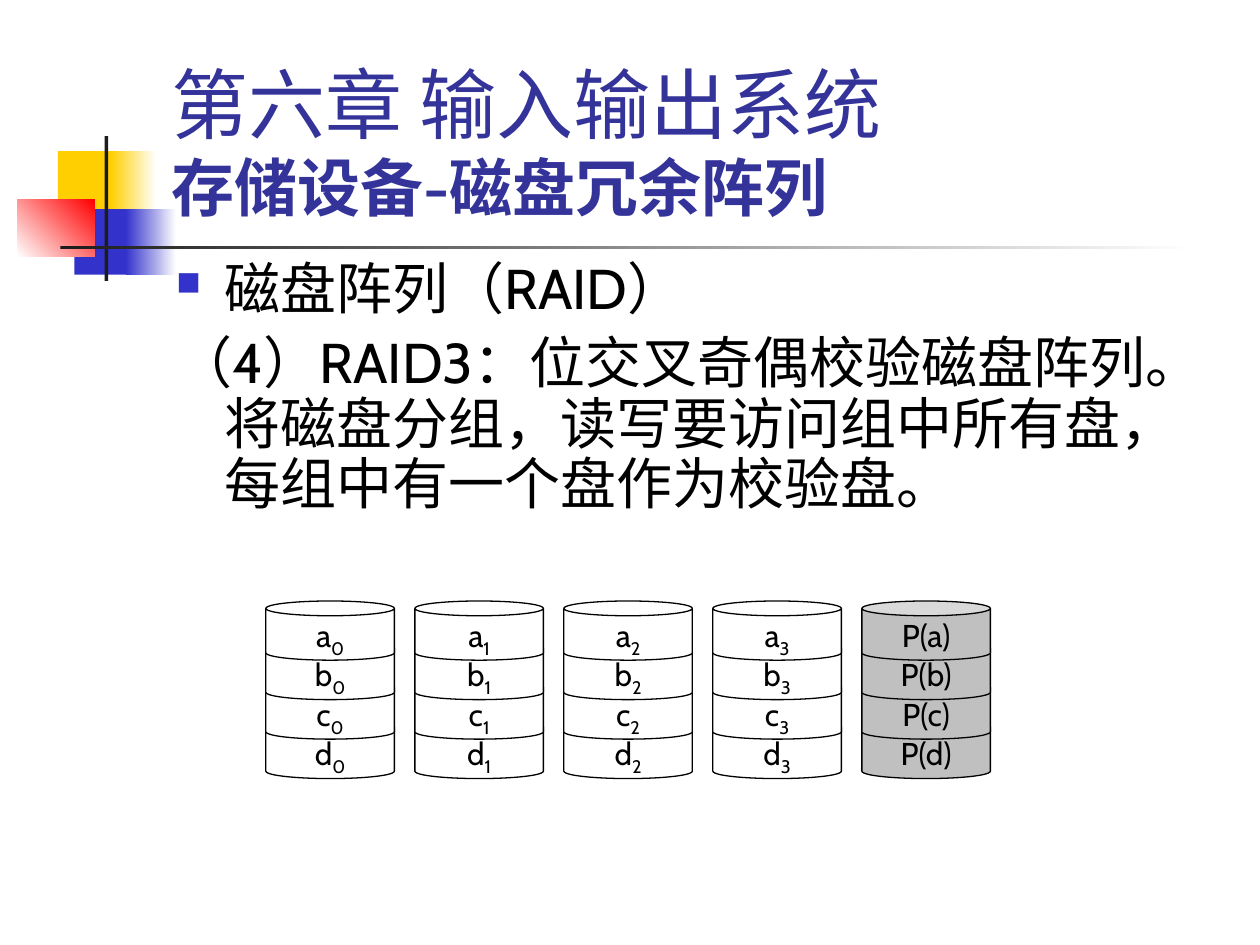
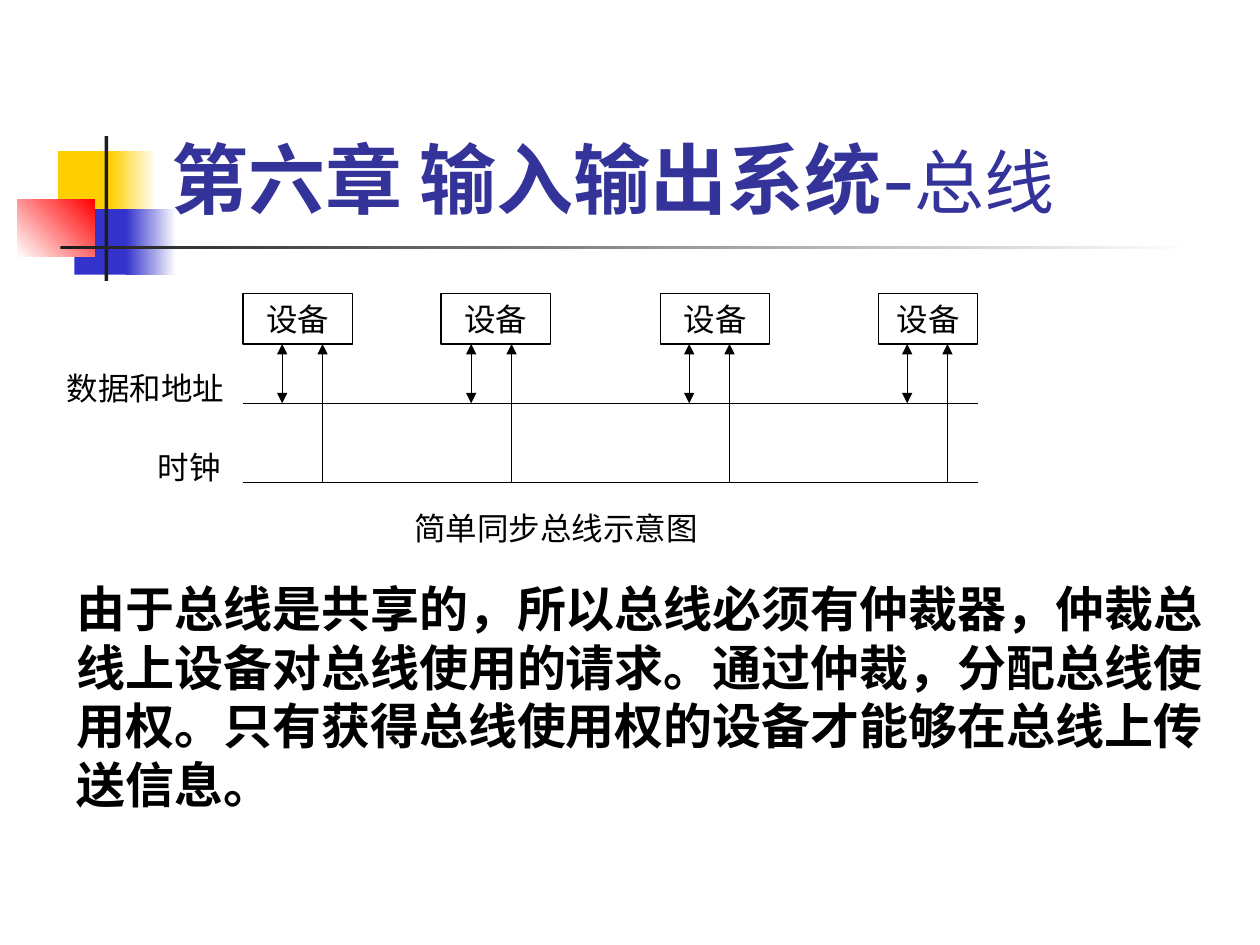
from lxml.etree import SubElement
from pptx import Presentation
from pptx.dml.color import RGBColor
from pptx.enum.shapes import MSO_CONNECTOR, MSO_SHAPE
from pptx.enum.text import MSO_ANCHOR, PP_ALIGN
from pptx.oxml.ns import qn
from pptx.util import Inches, Pt

# Shared look
FONT = "Cabin"
BLACK = RGBColor(0x00, 0x00, 0x00)
WHITE = RGBColor(0xFF, 0xFF, 0xFF)
GREY = RGBColor(0xC0, 0xC0, 0xC0)
CHARCOAL = RGBColor(0x1C, 0x1C, 0x1C)
YELLOW = RGBColor(0xFF, 0xCF, 0x01)
RED = RGBColor(0xFF, 0x00, 0x00)
BLUE = RGBColor(0x33, 0x33, 0xCC)
TITLE_BLUE = RGBColor(0x33, 0x33, 0x99)
LINE_WIDTH = Pt(0.75)

TITLE = {"size": Pt(44), "color": TITLE_BLUE}
BODY = {"size": Pt(32)}
LABEL = {"size": Pt(18)}
STATEMENT = {"size": Pt(28), "bold": True}

# Corner ornament: left, top, width, height, colours from start to end, angle
ORNAMENT = [
    (0.46, 1.2, 0.48, 0.52, [YELLOW], 0),
    (0.88, 1.2, 0.36, 0.52, [YELLOW, WHITE], 0),
    (0.59, 1.66, 0.46, 0.52, [BLUE], 0),
    (1, 1.66, 0.4, 0.52, [BLUE, WHITE], 0),
    (0.14, 1.58, 0.61, 0.46, [WHITE, RED], 45),
    (0.83, 1.08, 0.03, 1.15, [CHARCOAL], 0),
    (0.48, 1.95, 9, 0.03, [CHARCOAL, WHITE], 0),
]

# Slide 1: RAID 3
CHAPTER = "第六章 输入输出系统"
RAID_SUBTITLE = "存储设备-磁盘冗余阵列"
RAID_HEADING = "磁盘阵列（RAID）"
RAID_TEXT = "（4）RAID3：位交叉奇偶校验磁盘阵列。将磁盘分组，读写要访问组中所有盘，每组中有一个盘作为校验盘。"
BLOCKS = "abcd"
DATA_DISKS = 4
DISK_LEFT, DISK_TOP, DISK_WIDTH, DISK_HEIGHT = 2.11, 4.77, 1.02, 0.47
DISK_STEP = (6.84 - DISK_LEFT) / DATA_DISKS
BLOCK_STEP = (5.71 - DISK_TOP) / (len(BLOCKS) - 1)

# Slide 2: synchronous bus
BUS_SUBTITLE = "总线"
DEVICE = "设备"
DEVICES = [  # left, width, data arrow position
    (1.93, 0.87, 2.24),
    (3.5, 0.87, 3.74),
    (5.24, 0.87, 5.47),
    (6.97, 0.79, 7.2),
]
DEVICE_TOP, DEVICE_HEIGHT = 2.33, 0.4
DEVICE_BOTTOM = DEVICE_TOP + DEVICE_HEIGHT
CLOCK_OFFSET = 0.32
BUS_LEFT, BUS_RIGHT = 1.93, 7.76
DATA_BUS, CLOCK_BUS = 3.2, 3.83
BUS_LABELS = [  # area, text, alignment
    ((0.43, 2.88, 1.65, 0.4), "数据和地址", PP_ALIGN.LEFT),
    ((0.59, 3.51, 1.26, 0.4), "时钟", PP_ALIGN.RIGHT),
    ((3.19, 3.99, 3.62, 0.4), "简单同步总线示意图", PP_ALIGN.LEFT),
]
BUS_TEXT = "由于总线是共享的，所以总线必须有仲裁器，仲裁总线上设备对总线使用的请求。通过仲裁，分配总线使用权。只有获得总线使用权的设备才能够在总线上传送信息。"


def add_run(para, text, style):
    span = para.add_run()
    span.text = text
    values = {"name": FONT, "color": BLACK, **style}
    span.font.color.rgb = values.pop("color")
    for name, value in values.items():
        setattr(span.font, name, value)
    return span


def prepare_text(box, align=PP_ALIGN.LEFT, anchor=MSO_ANCHOR.TOP):
    box.text_frame.word_wrap = True
    box.text_frame.vertical_anchor = anchor
    para = box.text_frame.paragraphs[0]
    para.alignment = align
    return para


def add_text(page, area, **layout):
    box = page.shapes.add_textbox(*map(Inches, area))
    return prepare_text(box, **layout)


def add_figure(page, kind, area, colors=(), angle=0, outlined=False):
    figure = page.shapes.add_shape(kind, *map(Inches, area))
    figure.shadow.inherit = False
    if len(colors) == 2:
        figure.fill.gradient()
        figure.fill.gradient_angle = angle
        for stop, color in zip(figure.fill.gradient_stops, colors):
            stop.color.rgb = color
    elif colors:
        figure.fill.solid()
        figure.fill.fore_color.rgb = colors[0]
    else:
        figure.fill.background()
    if outlined:
        figure.line.color.rgb = BLACK
        figure.line.width = LINE_WIDTH
    else:
        figure.line.fill.background()
    return figure


def add_line(page, start, end, arrows=()):
    line = page.shapes.add_connector(MSO_CONNECTOR.STRAIGHT, *map(Inches, start + end))
    line.line.color.rgb = BLACK
    line.line.width = LINE_WIDTH
    for arrow in arrows:
        SubElement(line.line._get_or_add_ln(), qn(f"a:{arrow}"), type="triangle")
    SubElement(line._element.spPr, qn("a:effectLst"))


def add_page(deck):
    page = deck.slides.add_slide(deck.slide_layouts[6])
    for *area, colors, angle in ORNAMENT:
        add_figure(page, MSO_SHAPE.RECTANGLE, area, colors, angle)
    return page


def add_bullet(para):
    properties = para._p.get_or_add_pPr()
    color = SubElement(properties, qn("a:buClr"))
    SubElement(color, qn("a:srgbClr"), val=str(BLUE))
    SubElement(properties, qn("a:buSzPct"), val="60000")
    SubElement(properties, qn("a:buChar"), char="■")


def add_disk(page, index):
    left = DISK_LEFT + index * DISK_STEP
    is_parity = index == DATA_DISKS
    tops = [DISK_TOP + row * BLOCK_STEP for row in range(len(BLOCKS))]
    # Cylinders stack from the bottom up
    for top in reversed(tops):
        add_figure(page, MSO_SHAPE.CAN, (left, top, DISK_WIDTH, DISK_HEIGHT),
                   [GREY if is_parity else WHITE], outlined=True)
    for block, top in zip(BLOCKS, tops):
        para = add_text(page, (left, top + 0.07, DISK_WIDTH, 0.44), align=PP_ALIGN.CENTER)
        if is_parity:
            add_run(para, f"P({block})", LABEL)
        else:
            add_run(para, block, LABEL)
            subscript = add_run(para, str(index), LABEL)
            subscript._r.get_or_add_rPr().set("baseline", "-25000")


def build_raid_page(deck):
    page = add_page(deck)
    title = add_text(page, (1.26, 0.23, 8.52, 1.6), anchor=MSO_ANCHOR.BOTTOM)
    add_run(title, CHAPTER, TITLE)
    title.add_line_break()
    add_run(title, RAID_SUBTITLE, {**TITLE, "size": Pt(36), "bold": True})

    # Body with a hanging indent
    heading = add_text(page, (1.3, 2.02, 8.5, 2.2))
    detail = heading._parent.add_paragraph()
    detail.space_before = Pt(8)
    for para, text in ((heading, RAID_HEADING), (detail, RAID_TEXT)):
        para.line_spacing = 0.9
        properties = para._p.get_or_add_pPr()
        properties.set("marL", str(Inches(0.38)))
        properties.set("indent", str(-Inches(0.38)))
        add_run(para, text, BODY)
    add_bullet(heading)

    for index in range(DATA_DISKS + 1):
        add_disk(page, index)


def build_bus_page(deck):
    page = add_page(deck)
    title = add_text(page, (1.26, 0.86, 7.65, 0.97), anchor=MSO_ANCHOR.BOTTOM)
    add_run(title, CHAPTER, {**TITLE, "bold": True})
    add_run(title, "-", TITLE)
    add_run(title, BUS_SUBTITLE, {**TITLE, "size": Pt(40)})

    # Bus lines, devices and their arrows
    for bus in (DATA_BUS, CLOCK_BUS):
        add_line(page, (BUS_LEFT, bus), (BUS_RIGHT, bus))
    for left, width, data in DEVICES:
        device = add_figure(page, MSO_SHAPE.RECTANGLE,
                            (left, DEVICE_TOP, width, DEVICE_HEIGHT), outlined=True)
        add_run(prepare_text(device, align=PP_ALIGN.CENTER), DEVICE, LABEL)
        clock = data + CLOCK_OFFSET
        add_line(page, (data, DEVICE_BOTTOM), (data, DATA_BUS), ("headEnd", "tailEnd"))
        add_line(page, (clock, CLOCK_BUS), (clock, DEVICE_BOTTOM), ("tailEnd",))

    # Labels and statement
    for area, text, align in BUS_LABELS:
        add_run(add_text(page, area, align=align), text, LABEL)
    add_run(add_text(page, (0.51, 4.54, 9.21, 1.97)), BUS_TEXT, STATEMENT)


def main():
    deck = Presentation()
    deck.slide_width, deck.slide_height = Inches(10), Inches(7.5)
    build_raid_page(deck)
    build_bus_page(deck)
    deck.save("out.pptx")


if __name__ == "__main__":
    main()
